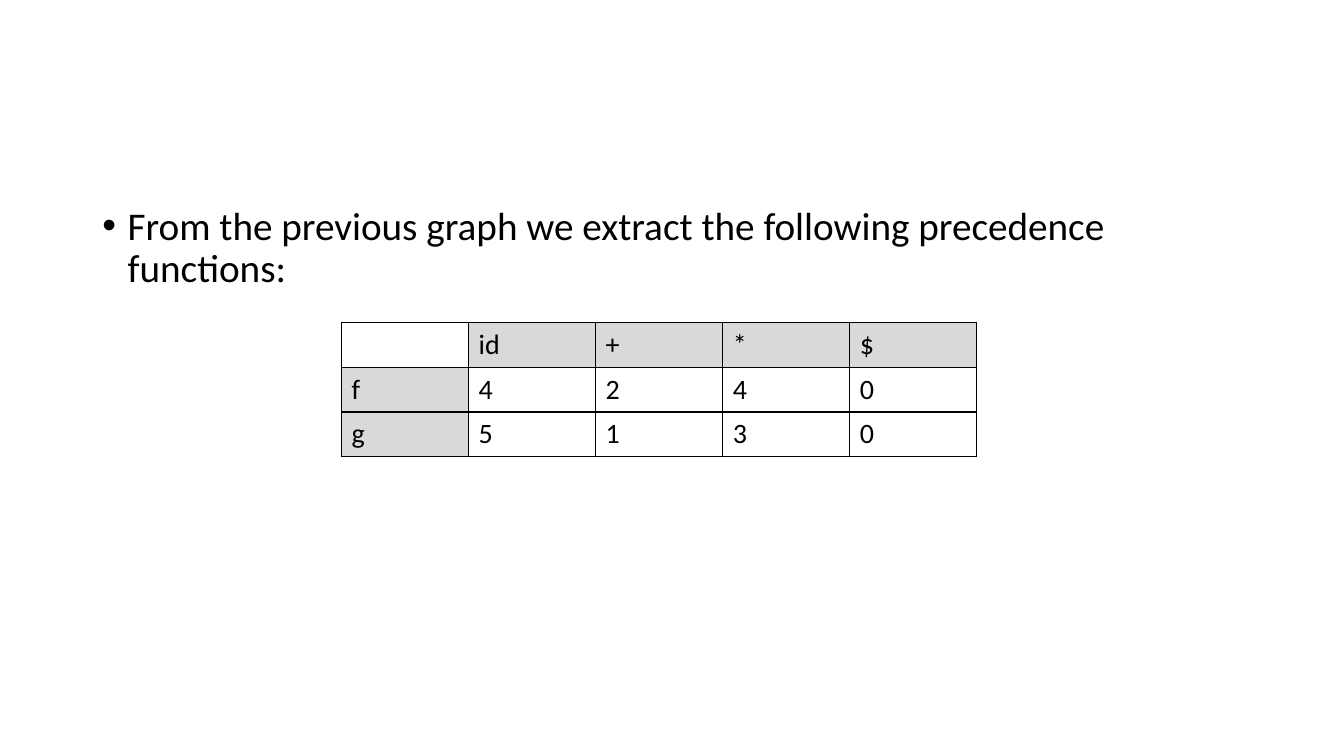
from lxml.etree import SubElement
from pptx import Presentation
from pptx.dml.color import RGBColor
from pptx.enum.text import MSO_ANCHOR
from pptx.oxml.ns import qn
from pptx.util import Pt

# Content
INTRO = "From the previous graph we extract the following precedence functions:"
PRECEDENCE = [
    ("", "id", "+", "*", "$"),
    ("f", "4", "2", "4", "0"),
    ("g", "5", "1", "3", "0"),
]

# Layout in points
SLIDE_WIDTH, SLIDE_HEIGHT = 960, 540
INTRO_BOX = (66, 143.75, 828, 342.6)
GRID_LEFT, GRID_TOP = 244, 230.4
COLUMN_WIDTH, ROW_HEIGHT = 90.75, 32
BLACK, HEADING_GRAY = "000000", "D9D9D9"


def color(value):
    return RGBColor.from_string(value)


def write(frame, text, size=20, font="Calibri", ink=BLACK):
    paragraph = frame.paragraphs[0]
    run = paragraph.add_run()
    run.text = text
    run.font.size = Pt(size)
    run.font.name = font
    run.font.color.rgb = color(ink)
    return paragraph


def add_borders(cell, ink=BLACK, width=1):
    properties = cell._tc.get_or_add_tcPr()
    for position, side in enumerate(("a:lnL", "a:lnR", "a:lnT", "a:lnB")):
        border = properties.makeelement(qn(side), {"w": str(Pt(width))})
        properties.insert(position, border)
        fill = SubElement(border, qn("a:solidFill"))
        SubElement(fill, qn("a:srgbClr"), val=ink)


presentation = Presentation()
presentation.slide_width = Pt(SLIDE_WIDTH)
presentation.slide_height = Pt(SLIDE_HEIGHT)
slide = presentation.slides.add_slide(presentation.slide_layouts[1])

# The slide has no title
title = slide.shapes.title.element
title.getparent().remove(title)

# Introduction bullet
intro = slide.placeholders[1]
intro.left, intro.top, intro.width, intro.height = map(Pt, INTRO_BOX)
bullet = write(intro.text_frame, INTRO, size=28)
bullet.line_spacing = 0.9
bullet.space_before = Pt(10)
bullet_format = bullet._p.get_or_add_pPr()
bullet_format.set("marL", str(Pt(18)))
bullet_format.set("indent", str(Pt(-18)))
SubElement(bullet_format, qn("a:buFont"), typeface="Arial")
SubElement(bullet_format, qn("a:buChar"), char="•")

# Precedence functions
row_count, column_count = len(PRECEDENCE), len(PRECEDENCE[0])
functions = slide.shapes.add_table(
    row_count, column_count, Pt(GRID_LEFT), Pt(GRID_TOP),
    Pt(COLUMN_WIDTH * column_count), Pt(ROW_HEIGHT * row_count),
).table
functions.first_row = False
functions.horz_banding = False
for column in functions.columns:
    column.width = Pt(COLUMN_WIDTH)
for row in functions.rows:
    row.height = Pt(ROW_HEIGHT)

for row_index, values in enumerate(PRECEDENCE):
    for column_index, value in enumerate(values):
        cell = functions.cell(row_index, column_index)
        cell.vertical_anchor = MSO_ANCHOR.TOP
        if value:
            write(cell.text_frame, value)
        if value and (row_index == 0 or column_index == 0):
            cell.fill.solid()
            cell.fill.fore_color.rgb = color(HEADING_GRAY)
        else:
            cell.fill.background()
        add_borders(cell)

presentation.save("out.pptx")
